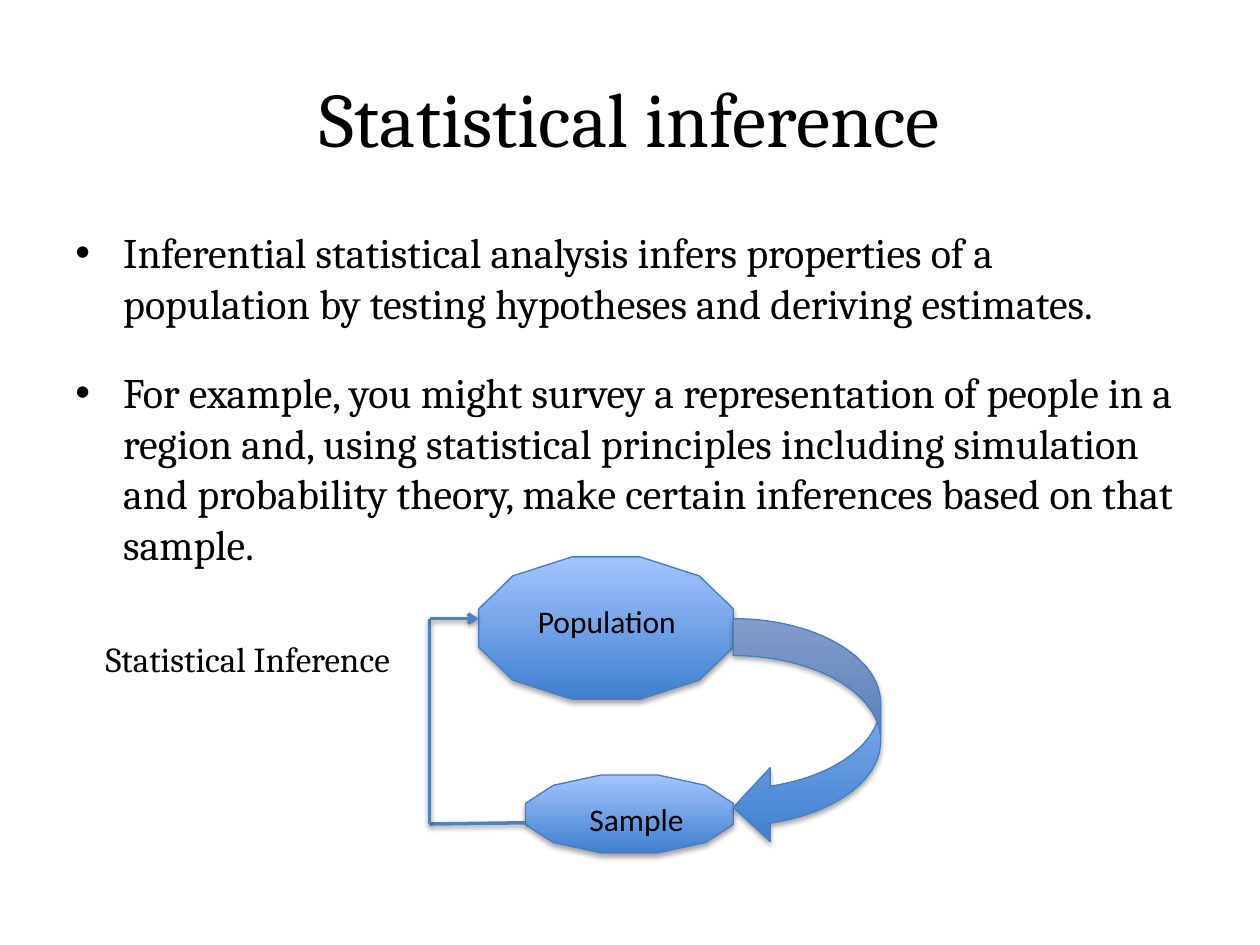
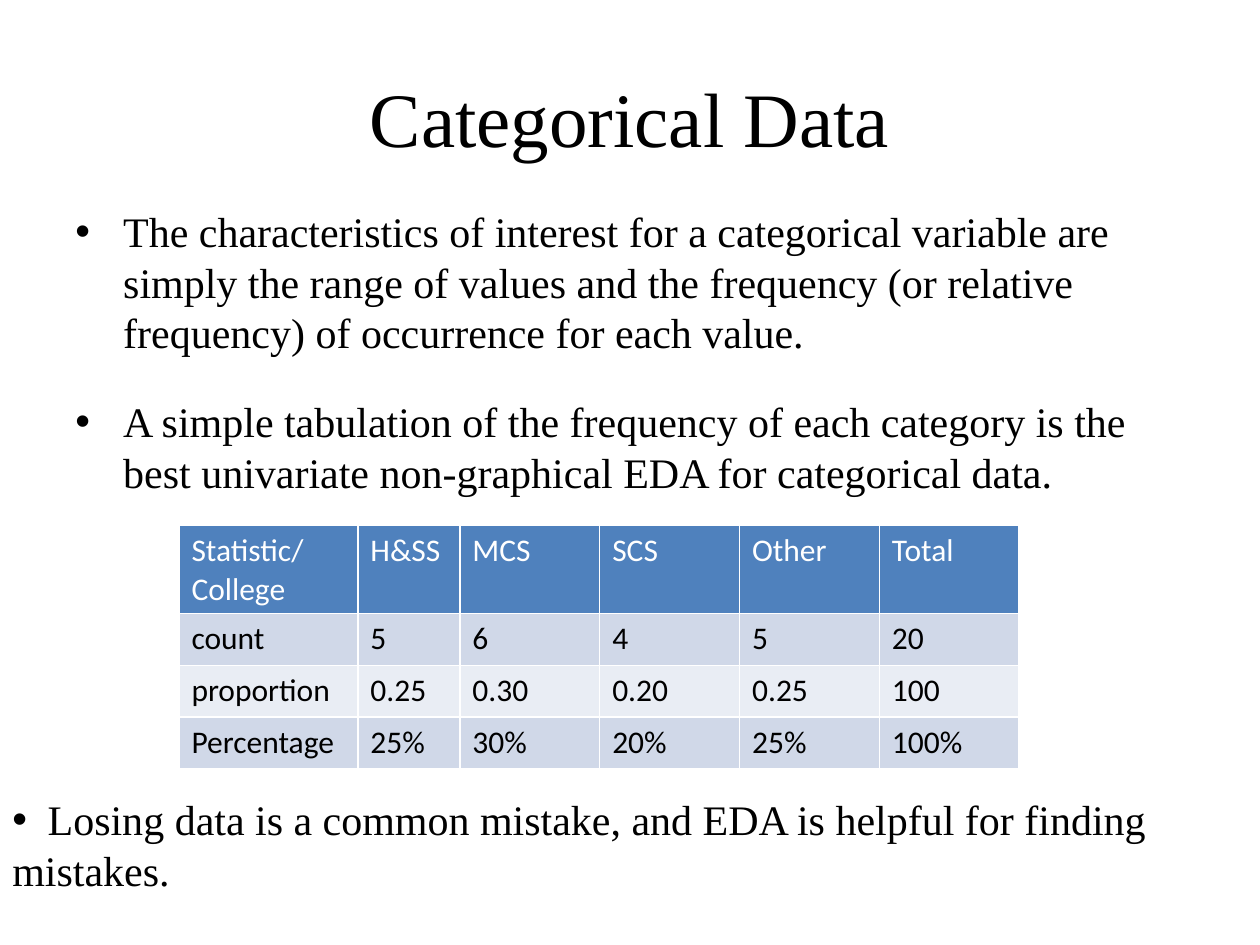
from dataclasses import dataclass

from lxml import etree
from pptx import Presentation
from pptx.dml.color import RGBColor
from pptx.enum import shapes, text
from pptx.oxml import ns
from pptx.util import Inches, Pt

COLORS = {
    "text": "000000",
    "white": "FFFFFF",
    "accent": "4F81BD",
    "outline": "4B7EBC",
    "grad_dark": "3F80CE",
    "grad_light": "A4C4FF",
    "band_dark": "D0D8E8",
    "band_light": "E9EDF4",
}
CAMBRIA, TIMES, CALIBRI = "Cambria", "Times New Roman", "Calibri"
BODY_SIZE = 24
BODY_LINE = 28.9
HANG = 0.38


@dataclass(frozen=True)
class Box:
    left: float
    top: float
    width: float
    height: float

    def emu(self) -> tuple:
        return tuple(Inches(v) for v in (self.left, self.top, self.width, self.height))


@dataclass(frozen=True)
class Node:
    """A shaded shape of the diagram, with an optional label."""
    kind: shapes.MSO_SHAPE
    box: Box
    label: str = ""
    label_box: Box | None = None


@dataclass(frozen=True)
class Segment:
    start: tuple[float, float]
    end: tuple[float, float]
    arrow: bool = False


TITLE_BOX = Box(0.5, 0.3, 9, 1.25)

INFERENCE_POINTS = [
    "Inferential statistical analysis infers properties of a population by testing "
    "hypotheses and deriving estimates.",
    "For example, you might survey a representation of people in a region and, using "
    "statistical principles including simulation and probability theory, make certain "
    "inferences based on that sample.",
]
CATEGORICAL_POINTS = [
    "The characteristics of interest for a categorical variable are simply the range of "
    "values and the frequency (or relative frequency) of occurrence for each value.",
    "A simple tabulation of the frequency of each category is the best univariate "
    "non-graphical EDA for categorical data.",
]

NODES = [
    Node(shapes.MSO_SHAPE.DODECAGON, Box(3.8, 4.42, 2.02, 1.13),
         "Population", Box(4.17, 4.73, 1.42, 0.4)),
    Node(shapes.MSO_SHAPE.DODECAGON, Box(4.17, 6.15, 1.65, 0.62),
         "Sample", Box(4.58, 6.3, 1, 0.4)),
    Node(shapes.MSO_SHAPE.CURVED_LEFT_ARROW, Box(5.82, 4.91, 1.17, 1.79)),
]
RETURN_PATH = [
    Segment((4.17, 6.53), (3.41, 6.54)),
    Segment((3.41, 6.54), (3.41, 4.91)),
    Segment((3.41, 4.91), (3.8, 4.91), arrow=True),
]

TABLE_BOX = Box(1.42, 4.17, 6.67, 1.93)
COLUMN_WIDTHS = [1.42, 0.81] + [1.11] * 4
ROW_HEIGHTS = [0.7] + [0.41] * 3
TABLE_ROWS = [
    ["Statistic/College", "H&SS", "MCS", "SCS", "Other", "Total"],
    ["count", "5", "6", "4", "5", "20"],
    ["proportion", "0.25", "0.30", "0.20", "0.25", "100"],
    ["Percentage", "25%", "30%", "20%", "25%", "100%"],
]


def rgb(name: str) -> RGBColor:
    return RGBColor.from_string(COLORS[name])


def sub(parent, tag: str, **attrs):
    """Append a DrawingML child element."""
    return etree.SubElement(parent, ns.qn(tag), {k: str(v) for k, v in attrs.items()})


def write(tf, content: str, *, font: str, size: float, color: str = "text",
          align=text.PP_ALIGN.LEFT, before: float = 0, line: float | None = None,
          indent: tuple[float, float] = (0, 0), bullet: bool = False,
          tab: float | None = None):
    """Fill the empty first paragraph of a text frame, or add another one."""
    p = tf.paragraphs[0]
    if p.runs:
        p = tf.add_paragraph()
    p.alignment = align
    p.space_before = Pt(before)
    if line:
        p.line_spacing = Pt(line)
    pPr = p._p.get_or_add_pPr()
    pPr.set("marL", str(Inches(indent[0])))
    pPr.set("indent", str(Inches(indent[1])))
    if bullet:
        sub(pPr, "a:buFont", typeface="Arial")
        sub(pPr, "a:buChar", char="•")
    if tab:
        sub(sub(pPr, "a:tabLst"), "a:tab", pos=Inches(tab), algn="l")
    r = p.add_run()
    r.text = content
    r.font.name, r.font.size, r.font.bold = font, Pt(size), False
    r.font.color.rgb = rgb(color)


def add_text_frame(s, box: Box, anchor=text.MSO_ANCHOR.TOP):
    tf = s.shapes.add_textbox(*box.emu()).text_frame
    tf.word_wrap = True
    tf.vertical_anchor = anchor
    return tf


def add_title(s, content: str, font: str) -> None:
    tf = add_text_frame(s, TITLE_BOX, text.MSO_ANCHOR.MIDDLE)
    write(tf, content, font=font, size=44, align=text.PP_ALIGN.CENTER)


def add_points(s, box: Box, points: list[str], font: str):
    tf = add_text_frame(s, box)
    for i, point in enumerate(points):
        write(tf, point, font=font, size=BODY_SIZE, line=BODY_LINE, bullet=True,
              before=22 if i else 0, indent=(HANG, -HANG))
    return tf


def add_shadow(sp, distance: float, opacity: int) -> None:
    """Cast a soft shadow straight down; call after the line is set."""
    effects = sub(sp._element.spPr, "a:effectLst")
    shadow = sub(effects, "a:outerShdw", blurRad=Pt(3.1), dist=Pt(distance),
                 dir=90 * 60000, rotWithShape=0)
    sub(sub(shadow, "a:srgbClr", val=COLORS["text"]), "a:alpha", val=opacity * 1000)


def add_node(s, node: Node) -> None:
    sp = s.shapes.add_shape(node.kind, *node.box.emu())
    sp.fill.gradient()
    sp.fill.gradient_angle = 90
    for stop, name in zip(sp.fill.gradient_stops, ("grad_dark", "grad_light")):
        stop.color.rgb = rgb(name)
    sp.line.color.rgb = rgb("outline")
    sp.line.width = Pt(0.75)
    add_shadow(sp, 1.8, 35)
    if node.label_box:
        write(add_text_frame(s, node.label_box), node.label, font=CALIBRI, size=18)


def add_segment(s, segment: Segment) -> None:
    ends = [Inches(v) for v in segment.start + segment.end]
    line = s.shapes.add_connector(shapes.MSO_CONNECTOR.STRAIGHT, *ends)
    line.line.color.rgb = rgb("accent")
    line.line.width = Pt(2)
    if segment.arrow:
        sub(line.line._get_or_add_ln(), "a:tailEnd", type="arrow")
    add_shadow(line, 1.6, 38)


def format_cell(cell, fill: str) -> None:
    tcPr = cell._tc.get_or_add_tcPr()
    for side in ("a:lnL", "a:lnR", "a:lnT", "a:lnB"):
        ln = sub(tcPr, side, w=Pt(1))
        sub(sub(ln, "a:solidFill"), "a:srgbClr", val=COLORS["white"])
    cell.fill.solid()
    cell.fill.fore_color.rgb = rgb(fill)


def add_frequency_table(s) -> None:
    table = s.shapes.add_table(len(TABLE_ROWS), len(COLUMN_WIDTHS), *TABLE_BOX.emu()).table
    for column, width in zip(table.columns, COLUMN_WIDTHS):
        column.width = Inches(width)
    for i, values in enumerate(TABLE_ROWS):
        table.rows[i].height = Inches(ROW_HEIGHTS[i])
        fill = "accent" if i == 0 else "band_dark" if i % 2 else "band_light"
        for j, value in enumerate(values):
            cell = table.cell(i, j)
            format_cell(cell, fill)
            write(cell.text_frame, value, font=CALIBRI, size=18,
                  color="text" if i else "white")


def build_inference(s) -> None:
    add_title(s, "Statistical inference", CAMBRIA)
    tf = add_points(s, Box(0.5, 1.75, 9, 4.95), INFERENCE_POINTS, CAMBRIA)
    write(tf, "Statistical Inference", font=CAMBRIA, size=20, before=39, line=24.1,
          indent=(0.24, 0))
    for node in NODES:
        add_node(s, node)
    for segment in RETURN_PATH:
        add_segment(s, segment)


def build_categorical(s) -> None:
    add_title(s, "Categorical Data", TIMES)
    add_points(s, Box(0.5, 1.58, 9, 5.12), CATEGORICAL_POINTS, TIMES)
    add_frequency_table(s)
    write(add_text_frame(s, Box(0, 6.25, 10, 0.91)),
          "\tLosing data is a common mistake, and EDA is helpful for finding mistakes.",
          font=TIMES, size=BODY_SIZE, line=BODY_LINE, bullet=True, tab=0.28)


def main() -> None:
    prs = Presentation()
    prs.slide_width, prs.slide_height = Inches(10), Inches(7.5)
    for build in (build_inference, build_categorical):
        build(prs.slides.add_slide(prs.slide_layouts[6]))
    prs.save("out.pptx")


if __name__ == "__main__":
    main()
